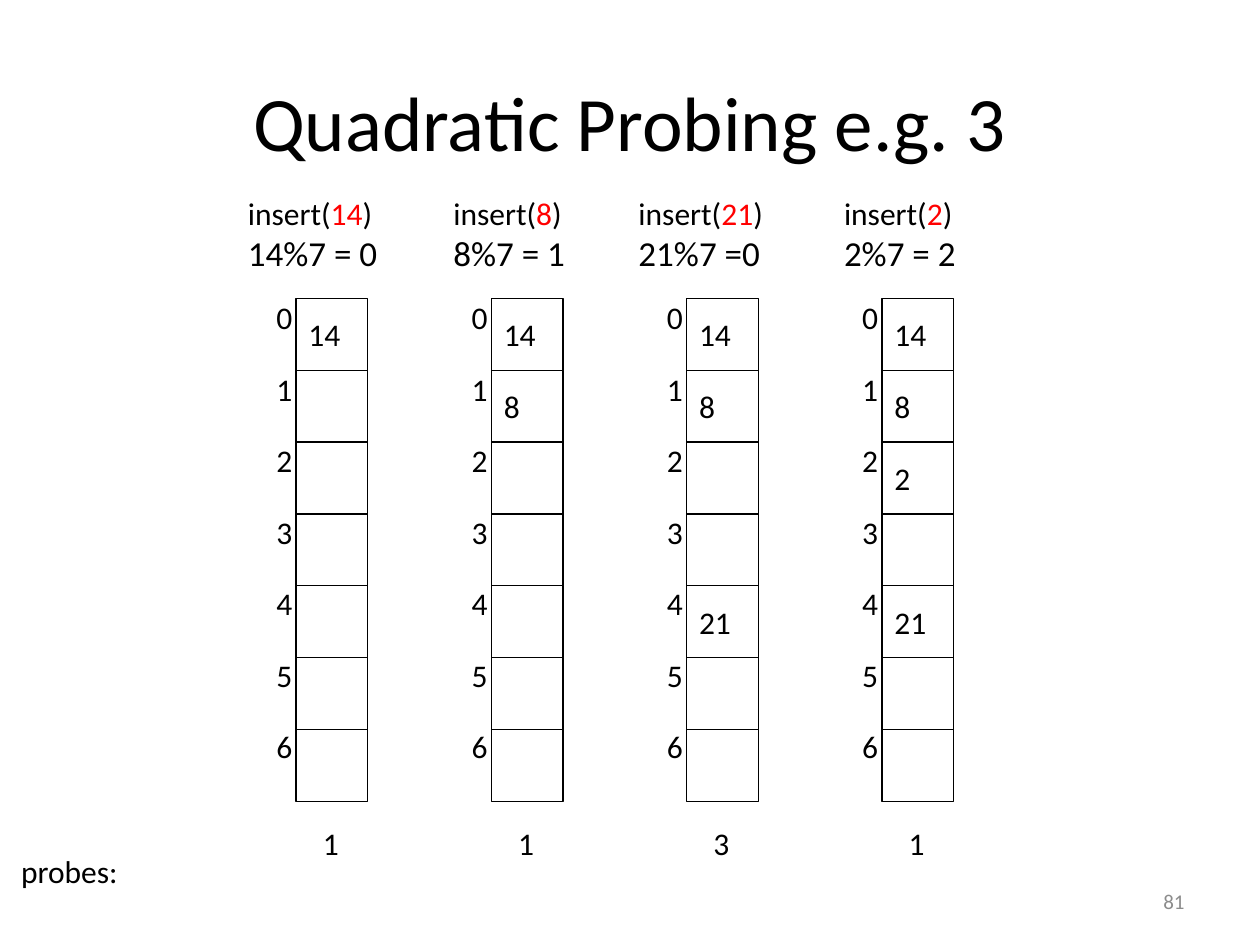
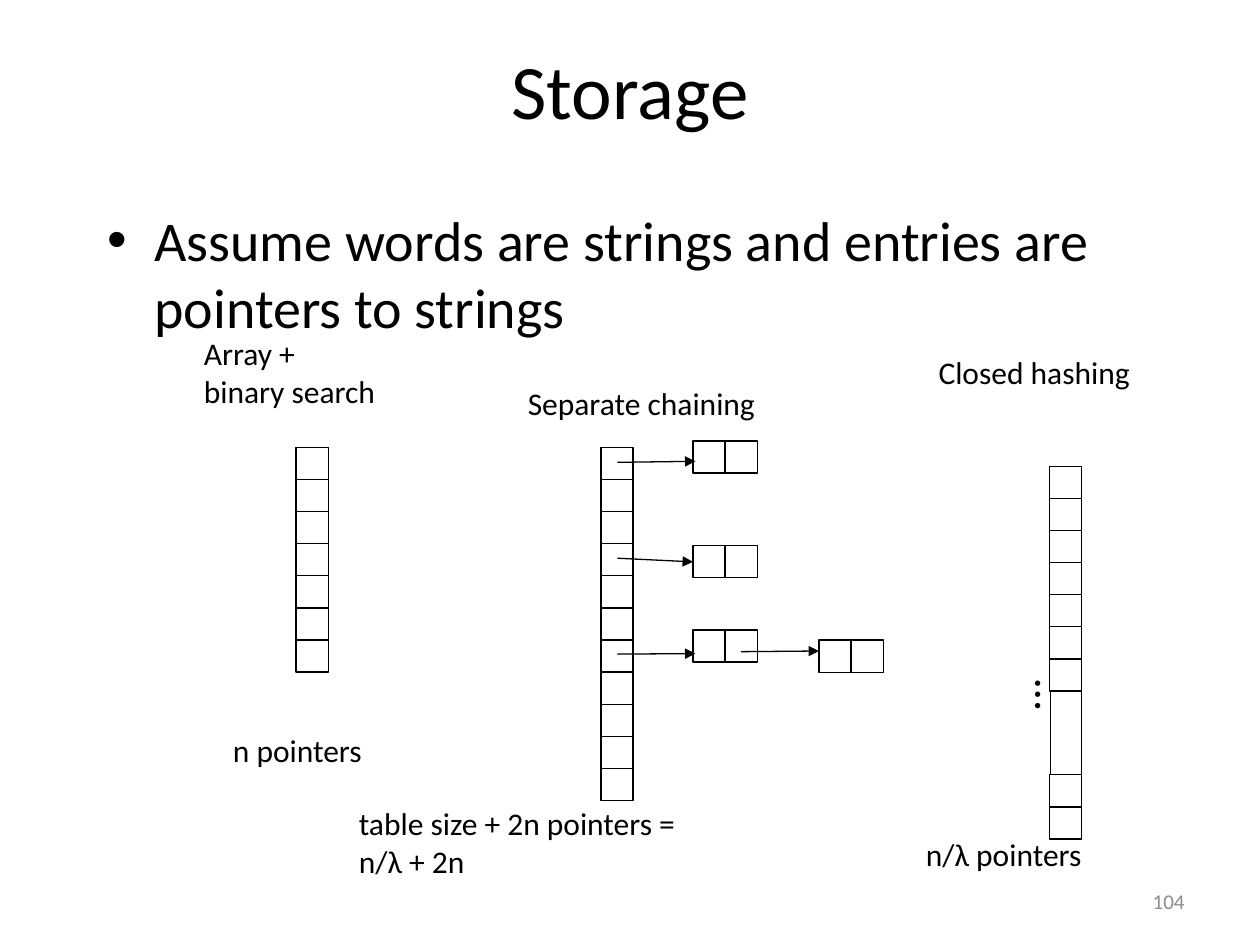
"""Build two slides on hash tables: quadratic probing and storage cost."""
from dataclasses import dataclass

import pptx
import pptx.dml.color
import pptx.enum.shapes
import pptx.enum.text
import pptx.oxml
import pptx.oxml.ns
import pptx.util
from pptx.util import Pt


@dataclass(frozen=True)
class Theme:
    font: str = "Calibri"
    ink: str = "000000"
    key: str = "FF0000"
    gray: str = "8C8C8C"
    title: float = 44
    body: float = 32
    sum: float = 20
    text: float = 18
    foot: float = 12
    dots: float = 44
    rule: float = 0.75


@dataclass(frozen=True)
class Box:
    x: float
    y: float
    w: float
    h: float


@dataclass(frozen=True)
class Insert:
    x: float
    w: float
    key: str
    sum: str
    cells: dict[int, str]
    probes: str


@dataclass(frozen=True)
class Stack:
    x: float
    y: float
    count: int


@dataclass(frozen=True)
class Arrow:
    x1: float
    y1: float
    x2: float
    y2: float


@dataclass(frozen=True)
class Note:
    box: Box
    text: str
    wrap: bool = False


THEME = Theme()
ALIGN = pptx.enum.text.PP_ALIGN
MIDDLE = pptx.enum.text.MSO_ANCHOR.MIDDLE
FIT = pptx.enum.text.MSO_AUTO_SIZE
SLOT = 41.04
UNIT = 18.36

INSERTS = [
    Insert(134.6, 108, "14", "14%7 = 0", {0: "14"}, "1"),
    Insert(252, 96, "8", "8%7 = 1", {0: "14", 1: "8"}, "1"),
    Insert(357.8, 108, "21", "21%7 =0", {0: "14", 1: "8", 4: "21"}, "3"),
    Insert(475.2, 96, "2", "2%7 = 2", {0: "14", 1: "8", 2: "2", 4: "21"}, "1"),
]
STACKS = [
    Stack(169.2, 255.6, 7),
    Stack(343.4, 255.6, 11),
    Stack(599.8, 266.4, 7),
    Stack(599.8, 442.8, 2),
]
NODES = [(396, 252), (396, 311.8), (396, 360), (468, 365.8)]
ARROWS = [
    Arrow(352.8, 264.2, 397.4, 263.6),
    Arrow(352.8, 319, 396, 321.1),
    Arrow(352.8, 373.8, 397.4, 373.5),
    Arrow(423.4, 372.4, 468, 372),
]
NOTES = [
    Note(Box(109.4, 187.2, 143.3, 64.8), "Array +\nbinary search"),
    Note(Box(294.5, 216, 185.8, 36), "Separate chaining"),
    Note(Box(529.2, 198, 162, 36), "Closed hashing"),
    Note(Box(126, 414, 113.8, 36), "n pointers", True),
    Note(Box(198, 455.8, 300.2, 64.8), "table size + 2n pointers =\vn/λ + 2n", True),
    Note(Box(522, 473.8, 131.8, 36), "n/λ pointers", True),
]


def tint(shade: str) -> pptx.dml.color.RGBColor:
    return pptx.dml.color.RGBColor.from_string(shade)


def style(frame, size: float, shade: str = THEME.ink, align=ALIGN.LEFT) -> None:
    for para in frame.paragraphs:
        para.alignment = align
        for run in para.runs:
            run.font.name = THEME.font
            run.font.size = Pt(size)
            run.font.color.rgb = tint(shade)


def place(shape, box: Box) -> None:
    shape.left, shape.top = Pt(box.x), Pt(box.y)
    shape.width, shape.height = Pt(box.w), Pt(box.h)


def label(slide, box: Box, text: str, wrap: bool = False):
    shape = slide.shapes.add_textbox(Pt(box.x), Pt(box.y), Pt(box.w), Pt(box.h))
    frame = shape.text_frame
    frame.text = text
    frame.word_wrap = wrap
    frame.auto_size = FIT.SHAPE_TO_FIT_TEXT
    style(frame, THEME.text)
    return frame


def cell(slide, box: Box, text: str = ""):
    kind = pptx.enum.shapes.MSO_SHAPE.RECTANGLE
    shape = slide.shapes.add_shape(kind, Pt(box.x), Pt(box.y), Pt(box.w), Pt(box.h))
    shape.shadow.inherit = False
    shape.fill.background()
    shape.line.color.rgb = tint(THEME.ink)
    shape.line.width = Pt(THEME.rule)
    if text:
        frame = shape.text_frame
        frame.text = text
        frame.word_wrap = False
        frame.vertical_anchor = MIDDLE
        style(frame, THEME.text)
    return shape


def arrow(slide, way: Arrow) -> None:
    kind = pptx.enum.shapes.MSO_CONNECTOR.STRAIGHT
    line = slide.shapes.add_connector(
        kind, Pt(way.x1), Pt(way.y1), Pt(way.x2), Pt(way.y2))
    line.line.color.rgb = tint(THEME.ink)
    line.line.width = Pt(THEME.rule)
    props = line._element.spPr
    tip = pptx.oxml.parse_xml(
        f'<a:tailEnd {pptx.oxml.ns.nsdecls("a")} type="triangle"/>')
    props.find(pptx.oxml.ns.qn("a:ln")).append(tip)
    props.append(pptx.oxml.parse_xml(
        f'<a:effectLst {pptx.oxml.ns.nsdecls("a")}/>'))


def start(deck, layout: int, title: str, top: float, page: str):
    slide = deck.slides.add_slide(deck.slide_layouts[layout])
    head = slide.shapes.title
    place(head, Box(54, top, 612, 90))
    head.text_frame.text = title
    head.text_frame.vertical_anchor = MIDDLE
    style(head.text_frame, THEME.title, align=ALIGN.CENTER)
    foot = label(slide, Box(516, 500.4, 168, 28.8), page, True)
    foot.auto_size = FIT.NONE
    foot.vertical_anchor = MIDDLE
    style(foot, THEME.foot, THEME.gray, ALIGN.RIGHT)
    return slide


def insert(slide, left: float, step: Insert) -> None:
    frame = label(slide, Box(step.x, 107.3, step.w, 59.8), "insert(")
    first = frame.paragraphs[0]
    first.add_run().text = step.key
    first.add_run().text = ")"
    frame.add_paragraph().text = step.sum
    style(frame, THEME.text)
    first.runs[1].font.color.rgb = tint(THEME.key)
    frame.paragraphs[1].runs[0].font.size = Pt(THEME.sum)
    for row in range(7):
        cell(slide, Box(left, 170.6 + row * SLOT, SLOT, SLOT), step.cells.get(row, ""))
        label(slide, Box(left - 18.4, 167 + row * 40.85, 23.8, 28.8), str(row))
    label(slide, Box(left + 8.2, 467.3, 26.6, 36), step.probes)


def probing(deck) -> None:
    slide = start(deck, 5, "Quadratic Probing e.g. 3", 23.8, "81")
    label(slide, Box(5, 483.1, 85, 36), "probes:")
    for spot, step in enumerate(INSERTS):
        insert(slide, 169.2 + spot * 111.6, step)


def storage(deck) -> None:
    slide = start(deck, 1, "Storage", 5.8, "104")
    body = slide.placeholders[1]
    place(body, Box(54, 113.8, 612, 324))
    body.text_frame.text = "Assume words are strings and entries are pointers to strings"
    body.text_frame.auto_size = FIT.NONE
    body.text_frame.paragraphs[0].space_before = Pt(0)
    style(body.text_frame, THEME.body)
    for stack in STACKS:
        for row in range(stack.count):
            cell(slide, Box(stack.x, stack.y + row * UNIT, UNIT, UNIT))
    for x, y in NODES:
        for side in range(2):
            cell(slide, Box(x + side * UNIT, y, UNIT, UNIT))
    for way in ARROWS:
        arrow(slide, way)
    gap = cell(slide, Box(600.4, 394.6, 17.8, 48.2), "…").text_frame
    style(gap, THEME.dots)
    gap.paragraphs[0].runs[0].font._element.set("baseline", "30000")
    gap._txBody.bodyPr.set("vert", "eaVert")
    for note in NOTES:
        label(slide, note.box, note.text, note.wrap)


def main() -> None:
    deck = pptx.Presentation()
    deck.slide_width, deck.slide_height = Pt(720), Pt(540)
    probing(deck)
    storage(deck)
    deck.save("out.pptx")


if __name__ == "__main__":
    main()
